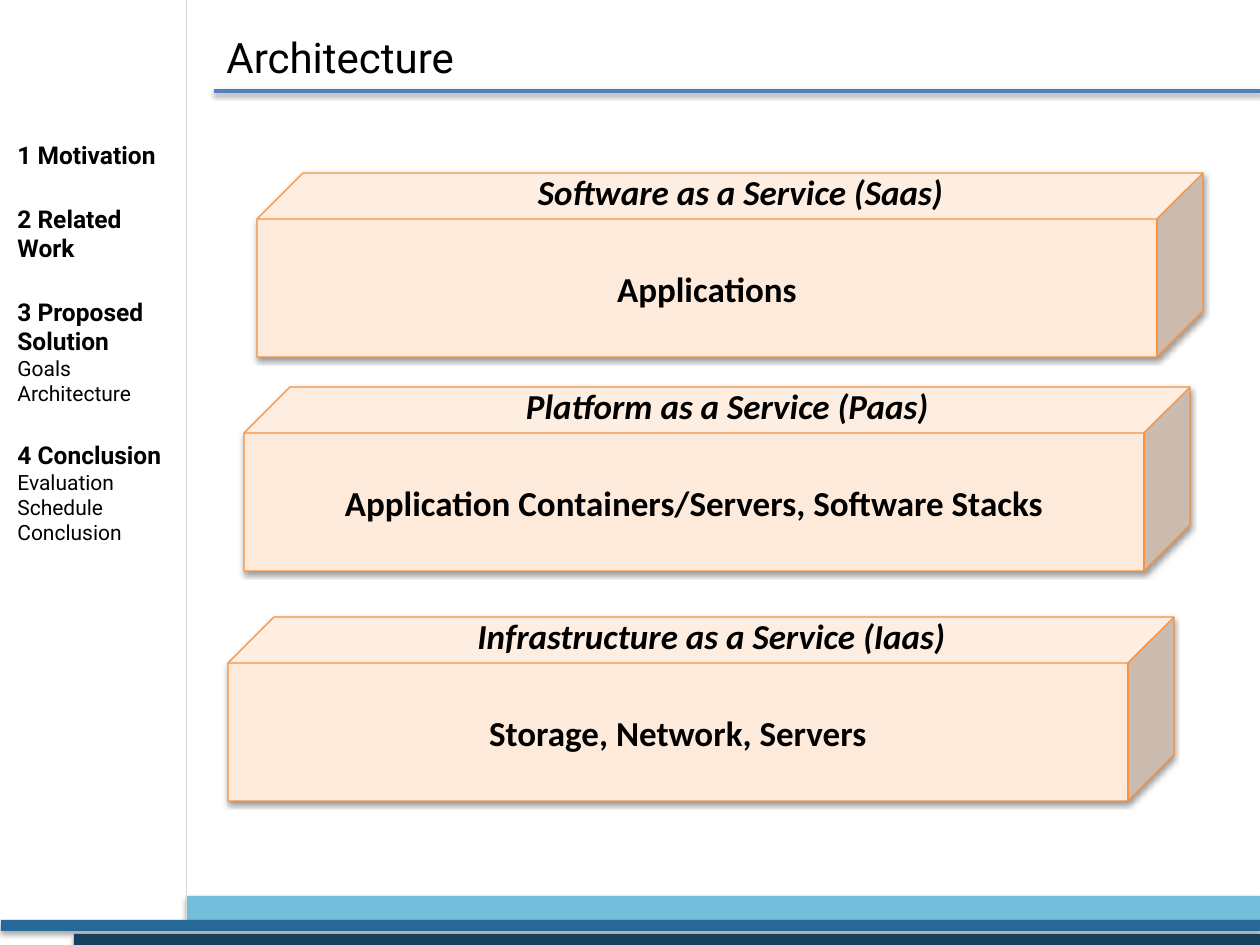
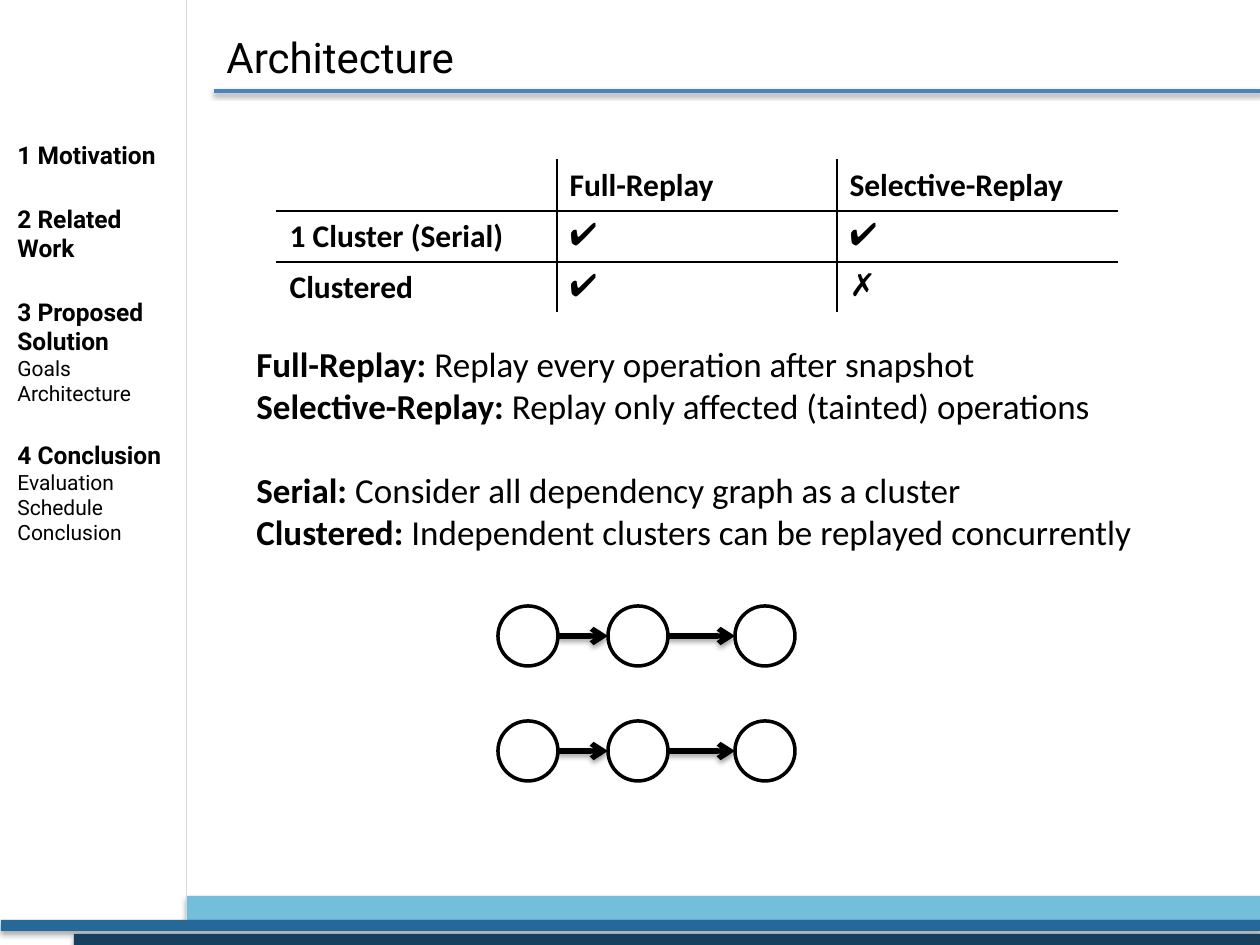
import lxml.etree
import pptx
import pptx.dml.color
import pptx.enum.shapes
import pptx.enum.text
import pptx.oxml
import pptx.oxml.ns
import pptx.util

SHAPE = pptx.enum.shapes.MSO_SHAPE
ALIGN = pptx.enum.text.PP_ALIGN
ANCHOR = pptx.enum.text.MSO_ANCHOR
qn = pptx.oxml.ns.qn

COLORS = {
    "black": "000000", "white": "FFFFFF", "sky": "73BEDA", "ocean": "266897",
    "navy": "17405E", "rule": "4F81BD", "divider": "D9D9D9",
    "peach": "FDEADA", "orange": "F69240",
}
WIDTH, HEIGHT = 1260, 945
NAV = [
    ("1 Motivation", []),
    ("2 Related Work", []),
    ("3 Proposed Solution", ["Goals", "Architecture"]),
    ("4 Conclusion", ["Evaluation", "Schedule", "Conclusion"]),
]
LAYERS = [
    (228, 617, "Infrastructure as a Service (Iaas)", "Storage, Network, Servers"),
    (244, 387, "Platform as a Service (Paas)",
     "Application Containers/Servers, Software Stacks"),
    (257, 173, "Software as a Service (Saas)", "Applications"),
]
MODES = [
    ["", "Full-Replay", "Selective-Replay"],
    ["1 Cluster (Serial)", "✔", "✔"],
    ["Clustered", "✔", "✗"],
]
TERMS = [
    ("Full-Replay:", " Replay every operation after snapshot", 0),
    ("Selective-Replay:", " Replay only affected (tainted) operations", 0),
    ("Serial:", " Consider all dependency graph as a cluster", 24.4),
    ("Clustered:", " Independent clusters can be replayed concurrently", 0),
]


def px(n):
    return pptx.util.Emu(round(n * 914400 / 126))


def rgb(name):
    return pptx.dml.color.RGBColor.from_string(COLORS[name])


class Deck:
    """Hold the shared style and the current slide, and draw elements on it."""

    def __init__(self):
        self.prs = pptx.Presentation()
        self.prs.slide_width, self.prs.slide_height = px(WIDTH), px(HEIGHT)
        self.s = None

    def slide(self, title):
        self.s = self.prs.slides.add_slide(self.prs.slide_layouts[6])
        for x, y, h, color in [(186, 896, 25, "sky"), (1, 920, 11, "ocean"),
                               (74, 934, 11, "navy")]:
            band = self.shape(SHAPE.RECTANGLE, x, y, WIDTH - x, h, color)
            self.shadow(band, 35, 1.8)
        self.nav()
        self.line(214, 91, WIDTH, 91, "rule", 2)
        self.line(186, 0, 186, 920, "divider", 0.25)
        tf = self.text(214, 28, 596, 57)
        tf.vertical_anchor = ANCHOR.MIDDLE
        self.style(tf.paragraphs[0], title, 24, "Roboto")

    def nav(self):
        tf = self.text(5, 134, 184, 420)
        p = tf.paragraphs[0]
        for i, (section, topics) in enumerate(NAV):
            if i:
                p = tf.add_paragraph()
                p.space_before = pptx.util.Pt(19.5)
            self.style(p, section, 14, "Roboto", bold=True)
            for topic in topics:
                self.style(tf.add_paragraph(), topic, 12, "Roboto")

    def style(self, p, text, size, font="Calibri", bold=False, italic=False):
        p.font.size, p.font.name = pptx.util.Pt(size), font
        p.font.bold, p.font.italic = bold, italic
        p.font.color.rgb = rgb("black")
        r = p.add_run()
        r.text = text
        return r

    def text(self, x, y, w, h):
        tf = self.s.shapes.add_textbox(px(x), px(y), px(w), px(h)).text_frame
        tf.word_wrap = True
        return tf

    def shape(self, kind, x, y, w, h, fill, line=None, weight=0):
        sp = self.s.shapes.add_shape(kind, px(x), px(y), px(w), px(h))
        sp.fill.solid()
        sp.fill.fore_color.rgb = rgb(fill)
        if line:
            sp.line.color.rgb = rgb(line)
            sp.line.width = pptx.util.Pt(weight)
        else:
            sp.line.fill.background()
        sp.shadow.inherit = False
        return sp

    def shadow(self, sp, alpha=38, dist=1.6):
        spPr = sp._element.spPr
        effects = spPr.find(qn("a:effectLst"))
        if effects is None:
            effects = lxml.etree.SubElement(spPr, qn("a:effectLst"))
        outer = lxml.etree.SubElement(
            effects, qn("a:outerShdw"), blurRad=str(pptx.util.Pt(3.1)),
            dist=str(pptx.util.Pt(dist)), dir="5400000", rotWithShape="0")
        color = lxml.etree.SubElement(outer, qn("a:srgbClr"), val=COLORS["black"])
        lxml.etree.SubElement(color, qn("a:alpha"), val=str(alpha * 1000))

    def line(self, x1, y1, x2, y2, color, weight, arrow=False):
        sp = self.s.shapes.add_connector(
            pptx.enum.shapes.MSO_CONNECTOR.STRAIGHT, px(x1), px(y1), px(x2), px(y2))
        sp.line.color.rgb = rgb(color)
        sp.line.width = pptx.util.Pt(weight)
        if arrow:
            ln = sp._element.spPr.find(qn("a:ln"))
            lxml.etree.SubElement(ln, qn("a:tailEnd"), type="arrow")
        self.shadow(sp)

    def layer(self, x, y, caption, content):
        sp = self.shape(SHAPE.CUBE, x, y, 946, 184, "peach", "orange", 0.75)
        self.shadow(sp)
        tf = sp.text_frame
        tf.vertical_anchor = ANCHOR.MIDDLE
        label = self.text(x + 30, y - 9, 907, 55)
        for frame, text, italic in [(tf, content, False), (label, caption, True)]:
            p = frame.paragraphs[0]
            p.alignment = ALIGN.CENTER
            self.style(p, text, 20, bold=True, italic=italic)

    def border(self, cell, side):
        ln = lxml.etree.SubElement(cell._tc.get_or_add_tcPr(), qn("a:ln" + side),
                                   w=str(pptx.util.Pt(1)))
        fill = lxml.etree.SubElement(ln, qn("a:solidFill"))
        lxml.etree.SubElement(fill, qn("a:srgbClr"), val=COLORS["black"])

    def table(self, x, y, col, row, rows):
        n, m = len(rows), len(rows[0])
        table = self.s.shapes.add_table(
            n, m, px(x), px(y), px(col * m), px(row * n)).table
        table.first_row = table.horz_banding = False
        for i, texts in enumerate(rows):
            table.rows[i].height = px(row)
            for j, text in enumerate(texts):
                cell = table.cell(i, j)
                inner = {"L": j > 0, "R": j < m - 1, "T": i > 0, "B": i < n - 1}
                for side, shown in inner.items():
                    if shown:
                        self.border(cell, side)
                cell.fill.background()
                if text:
                    font = "Arial" if i and j else "Calibri"
                    self.style(cell.text_frame.paragraphs[0], text, 18, font, bold=True)

    def terms(self, x, y, w, h, terms):
        tf = self.text(x, y, w, h)
        for i, (term, meaning, gap) in enumerate(terms):
            p = tf.add_paragraph() if i else tf.paragraphs[0]
            p.space_before = pptx.util.Pt(gap)
            self.style(p, term, 20).font.bold = True
            p.add_run().text = meaning

    def chain(self, xs, y, size):
        for x in xs:
            self.shape(SHAPE.OVAL, x, y, size, size, "white", "black", 2)
        for x1, x2 in zip(xs, xs[1:]):
            self.line(x1 + size, y + size / 2, x2, y + size / 2, "black", 3, arrow=True)


def main():
    deck = Deck()
    deck.slide("Architecture")
    for layer in LAYERS:
        deck.layer(*layer)

    deck.slide("Architecture")
    deck.table(277, 160, 280, 51, MODES)
    deck.terms(244, 336, 971, 224, TERMS)
    for y in (721, 606):
        deck.chain([498, 608, 735], y, 60)
    deck.prs.save("out.pptx")


if __name__ == "__main__":
    main()
